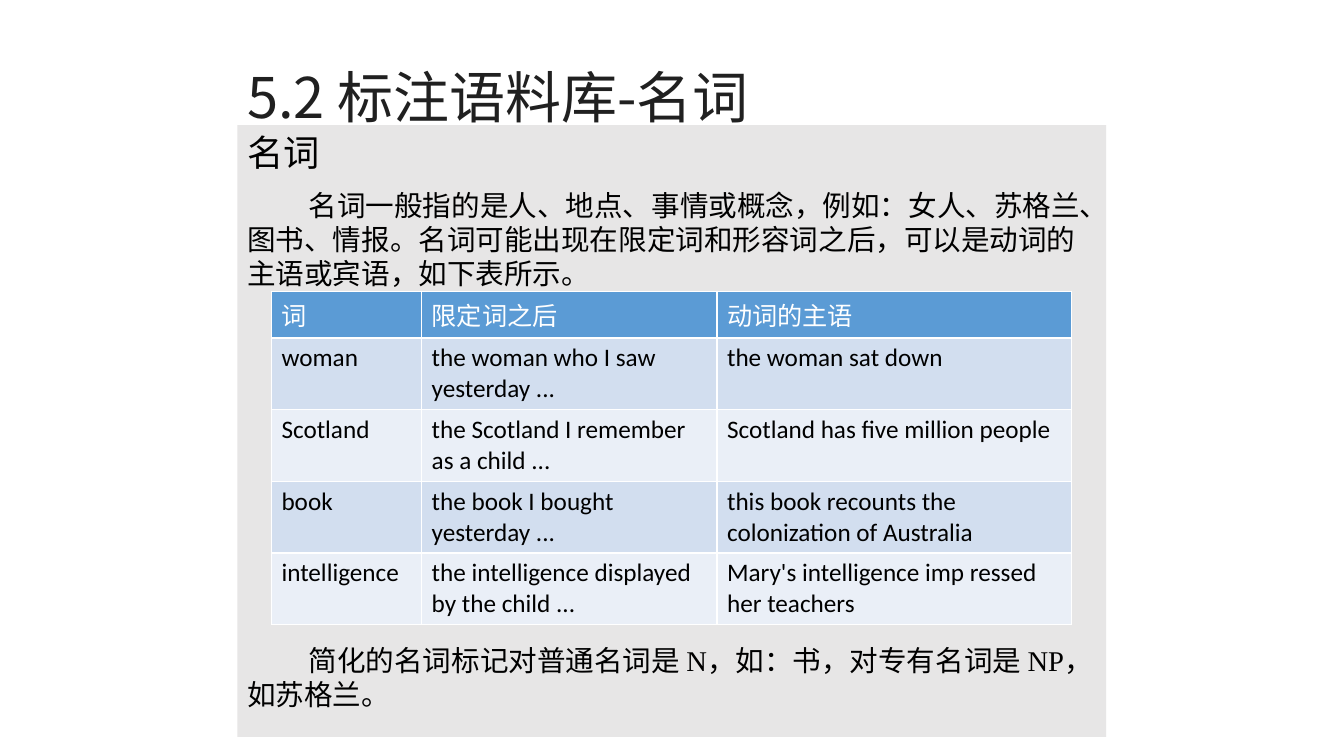
from dataclasses import dataclass

from lxml import etree
from pptx import Presentation
from pptx.dml.color import RGBColor
from pptx.enum import shapes, text
from pptx.oxml import ns
from pptx.util import Pt

# Content
TITLE = "5.2 标注语料库-名词"
HEADING = "名词"
DEFINITION = ("名词一般指的是人、地点、事情或概念，例如：女人、苏格兰、图书、情报。"
              "名词可能出现在限定词和形容词之后，可以是动词的主语或宾语，如下表所示。")
TAGS = "简化的名词标记对普通名词是 N，如：书，对专有名词是 NP，如苏格兰。"
NOUNS = [
    ("词", "限定词之后", "动词的主语"),
    ("woman", "the woman who I saw yesterday ...", "the woman sat down"),
    ("Scotland", "the Scotland I remember as a child ...",
     "Scotland has five million people"),
    ("book", "the book I bought yesterday ...",
     "this book recounts the colonization of Australia"),
    ("intelligence", "the intelligence displayed by the child ...",
     "Mary's intelligence imp ressed her teachers"),
]


@dataclass(frozen=True)
class Theme:
    chinese: str = "Noto Sans CJK SC"
    serif: str = "Times New Roman"
    sans: str = "Calibri"
    title_size: float = 40
    heading_size: float = 25.9
    body_size: float = 20.4
    table_size: float = 18
    title: str = "202020"
    ink: str = "000000"
    white: str = "FFFFFF"
    panel: str = "E7E6E6"
    header: str = "5B9BD5"
    bands: tuple = ("EAEFF7", "D2DEEF")


theme = Theme()

# Layout, in points
LEFT, WIDTH = 169.5, 620.6
TITLE_TOP, TITLE_HEIGHT = 17.3, 79.9
PANEL_TOP, PANEL_HEIGHT = 89.5, 437
TABLE_LEFT, TABLE_TOP = 193.9, 208.1
COLUMNS = (107.3, 211, 253.4)
HEADER_HEIGHT, ROW_HEIGHT = 33, 51.2
INDENT = 43.9
TABLE_GAP = 251.5  # room between the two body paragraphs for the table


def color(value):
    return RGBColor.from_string(value)


def add_run(paragraph, words, size, latin, ink):
    run = paragraph.add_run()
    run.text = words
    run.font.size = Pt(size)
    run.font.name = latin
    run.font.color.rgb = color(ink)
    east_asian = etree.SubElement(run.font._element, ns.qn("a:ea"))
    east_asian.set("typeface", theme.chinese)


def add_border(cell, side, width):
    properties = cell._tc.get_or_add_tcPr()
    line = etree.SubElement(properties, ns.qn(f"a:ln{side}"), w=str(Pt(width)))
    fill = etree.SubElement(line, ns.qn("a:solidFill"))
    etree.SubElement(fill, ns.qn("a:srgbClr"), val=theme.white)


def add_title(slide):
    title = slide.shapes.title
    title.left, title.top = Pt(LEFT), Pt(TITLE_TOP)
    title.width, title.height = Pt(WIDTH), Pt(TITLE_HEIGHT)
    frame = title.text_frame
    frame.vertical_anchor = text.MSO_ANCHOR.BOTTOM
    frame.auto_size = text.MSO_AUTO_SIZE.NONE
    paragraph = frame.paragraphs[0]
    paragraph.alignment = text.PP_ALIGN.LEFT
    paragraph.line_spacing = 0.9
    add_run(paragraph, TITLE, theme.title_size, theme.chinese, theme.title)


def add_panel(slide):
    panel = slide.shapes.add_shape(
        shapes.MSO_SHAPE.RECTANGLE,
        Pt(LEFT), Pt(PANEL_TOP), Pt(WIDTH), Pt(PANEL_HEIGHT))
    panel.shadow.inherit = False
    panel.fill.solid()
    panel.fill.fore_color.rgb = color(theme.panel)
    panel.line.fill.background()
    frame = panel.text_frame
    frame.word_wrap = True
    frame.vertical_anchor = text.MSO_ANCHOR.TOP
    body = [
        (HEADING, theme.heading_size, 0, 0),
        (DEFINITION, theme.body_size, 10, INDENT),
        (TAGS, theme.body_size, TABLE_GAP, INDENT),
    ]
    for index, (words, size, before, indent) in enumerate(body):
        paragraph = frame.add_paragraph() if index else frame.paragraphs[0]
        paragraph.alignment = text.PP_ALIGN.LEFT
        paragraph.line_spacing = 1.0
        paragraph.space_before = Pt(before)
        paragraph._p.get_or_add_pPr().set("indent", str(Pt(indent)))
        add_run(paragraph, words, size, theme.serif, theme.ink)


def add_noun_table(slide):
    height = HEADER_HEIGHT + ROW_HEIGHT * (len(NOUNS) - 1)
    table = slide.shapes.add_table(
        len(NOUNS), len(COLUMNS), Pt(TABLE_LEFT), Pt(TABLE_TOP),
        Pt(sum(COLUMNS)), Pt(height)).table
    for column, width in zip(table.columns, COLUMNS):
        column.width = Pt(width)
    for row, words_in_row in enumerate(NOUNS):
        is_header = row == 0
        table.rows[row].height = Pt(HEADER_HEIGHT if is_header else ROW_HEIGHT)
        for column, words in enumerate(words_in_row):
            cell = table.cell(row, column)
            for side in "LRTB":
                add_border(cell, side, 1)
            cell.fill.solid()
            cell.fill.fore_color.rgb = color(
                theme.header if is_header else theme.bands[row % 2])
            add_run(cell.text_frame.paragraphs[0], words, theme.table_size,
                    theme.sans, theme.white if is_header else theme.ink)


def main():
    presentation = Presentation()
    presentation.slide_width, presentation.slide_height = Pt(960), Pt(540)
    slide = presentation.slides.add_slide(presentation.slide_layouts[5])
    add_title(slide)
    add_panel(slide)
    add_noun_table(slide)
    presentation.save("out.pptx")


if __name__ == "__main__":
    main()
